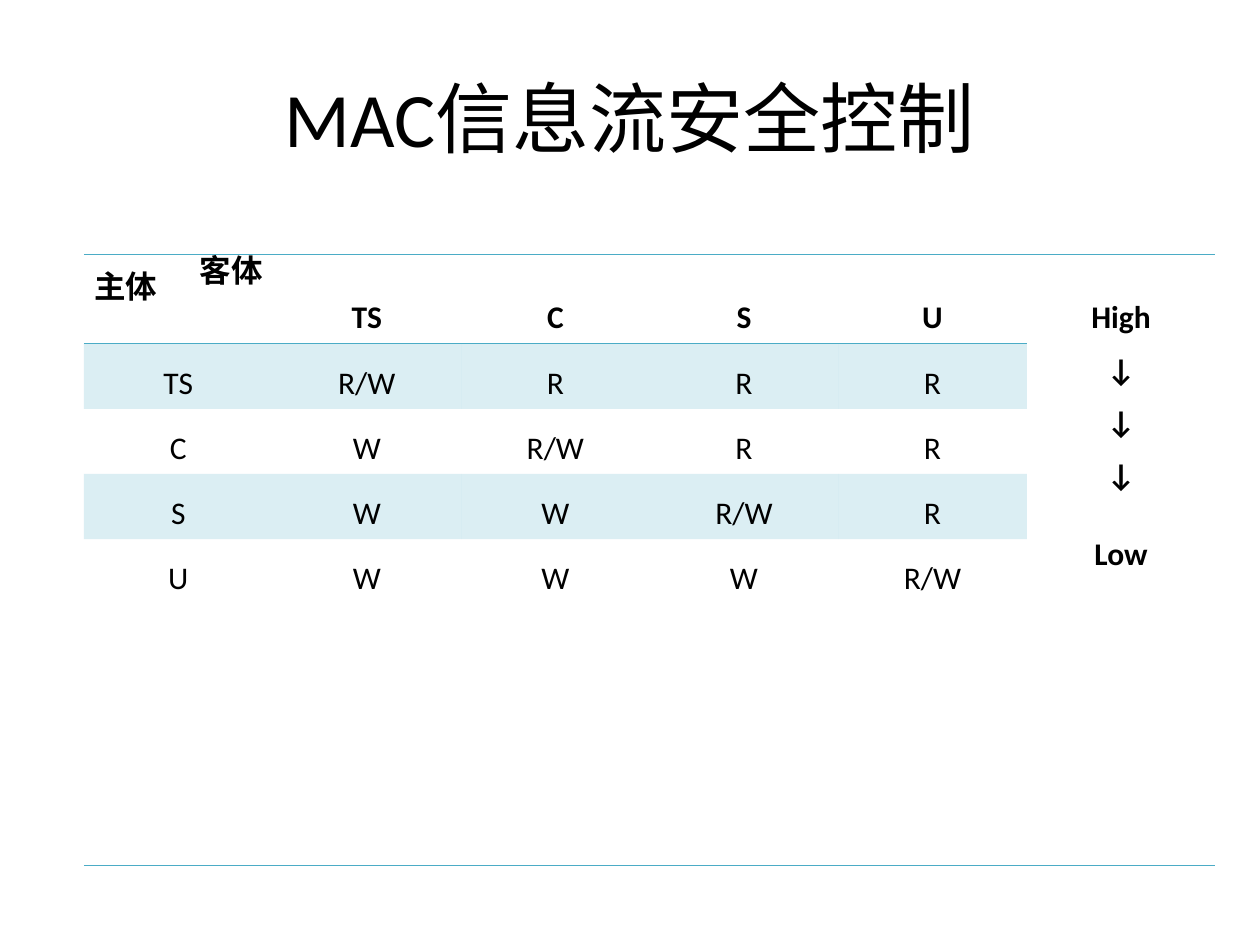
from lxml.etree import SubElement
from pptx import Presentation
from pptx.dml.color import RGBColor
from pptx.enum.text import MSO_ANCHOR as Anchor, PP_ALIGN as Align
from pptx.oxml.ns import qn
from pptx.util import Pt

COLORS = {"text": "000000", "accent": "4BACC6"}
FONT = "Calibri"
NO_STYLE = "{2D5ABB26-0587-4C30-8999-92F81FD0307C}"
PAD_X, PAD_Y = 5.76, 3.6
HEAD_LINE, BODY_LINE, CORNER_LINE = 22, 15, 9

LEVELS = ["TS", "C", "S", "U"]
RIGHTS = [
    ["R/W", "R", "R", "R"],
    ["W", "R/W", "R", "R"],
    ["W", "W", "R/W", "R"],
    ["W", "W", "W", "R/W"],
]
# text, line height, space before
SCALE = [("High", HEAD_LINE, 0)] + [("↓", BODY_LINE, 15)] * 3 + [("Low", BODY_LINE, 30)]


def set_font(para, size, bold=False):
    para.font.name = FONT
    para.font.size = Pt(size)
    para.font.bold = bold
    para.font.color.rgb = RGBColor.from_string(COLORS["text"])


def add_title(page, text, left, top, width, height):
    title = page.shapes.title
    title.left, title.top, title.width, title.height = map(Pt, (left, top, width, height))
    title.text_frame.text = text
    title.text_frame.vertical_anchor = Anchor.MIDDLE
    para = title.text_frame.paragraphs[0]
    para.alignment = Align.CENTER
    set_font(para, 44)


def write_cell(cell, lines, drop, bold=False):
    """Write (text, line height, space before, alignment) lines, starting drop points down."""
    cell.margin_left = cell.margin_right = Pt(PAD_X)
    cell.margin_top, cell.margin_bottom = Pt(PAD_Y + drop), Pt(PAD_Y)
    for index, (text, line, before, align) in enumerate(lines):
        frame = cell.text_frame
        para = frame.add_paragraph() if index else frame.paragraphs[0]
        para.text = text
        para.alignment = align
        para.line_spacing = Pt(line)
        para.space_before = Pt(before)
        set_font(para, 18, bold)


def add_borders(cell, sides):
    props = cell._tc.get_or_add_tcPr()
    for side in sides:
        line = SubElement(props, qn(f"a:ln{side}"), w=str(Pt(0.45)))
        fill = SubElement(line, qn("a:solidFill"))
        SubElement(fill, qn("a:srgbClr"), val=COLORS["accent"])


def tint(cell):
    cell.fill.solid()
    cell.fill.fore_color.rgb = RGBColor.from_string(COLORS["accent"])
    color = cell._tc.tcPr.find(f"{qn('a:solidFill')}/{qn('a:srgbClr')}")
    SubElement(color, qn("a:alpha"), val="20000")


def add_access_table(page, left, top, width, row_heights):
    rows, cols = len(row_heights), len(LEVELS) + 2
    frame = page.shapes.add_table(rows, cols, Pt(left), Pt(top), Pt(width), Pt(sum(row_heights)))
    table = frame.table
    table.first_row = table.horz_banding = False
    table._tbl.tblPr.find(qn("a:tableStyleId")).text = NO_STYLE
    for column in table.columns:
        column.width = Pt(width / cols)
    for row, height in zip(table.rows, row_heights):
        row.height = Pt(height)

    corner = [("客体", CORNER_LINE, 0, Align.RIGHT), ("主体", CORNER_LINE, 0, Align.JUSTIFY)]
    write_cell(table.cell(0, 0), corner, CORNER_LINE, bold=True)
    for col, level in enumerate(LEVELS, 1):
        write_cell(table.cell(0, col), [(level, HEAD_LINE, 0, Align.CENTER)], HEAD_LINE, bold=True)
    for row, (level, rights) in enumerate(zip(LEVELS, RIGHTS), 1):
        for col, text in enumerate([level, *rights]):
            write_cell(table.cell(row, col), [(text, BODY_LINE, 0, Align.CENTER)], BODY_LINE)

    scale = table.cell(0, cols - 1)
    scale.merge(table.cell(rows - 1, cols - 1))
    write_cell(scale, [(*line, Align.CENTER) for line in SCALE], HEAD_LINE, bold=True)

    for col in range(cols):
        add_borders(table.cell(0, col), "TB")
        add_borders(table.cell(rows - 1, col), "B")
    for row in range(rows):
        for col in range(cols):
            cell = table.cell(row, col)
            if row % 2 and col < cols - 1:
                tint(cell)
            else:
                cell.fill.background()


def main():
    deck = Presentation()
    deck.slide_width, deck.slide_height = Pt(720), Pt(540)
    page = deck.slides.add_slide(deck.slide_layouts[5])
    add_title(page, "MAC信息流安全控制", 36, 21.6, 648, 90)
    add_access_table(page, 48, 145.2, 646.5, [51.2, 37.2, 37.2, 37.2, 186.4])
    deck.save("out.pptx")


if __name__ == "__main__":
    main()
